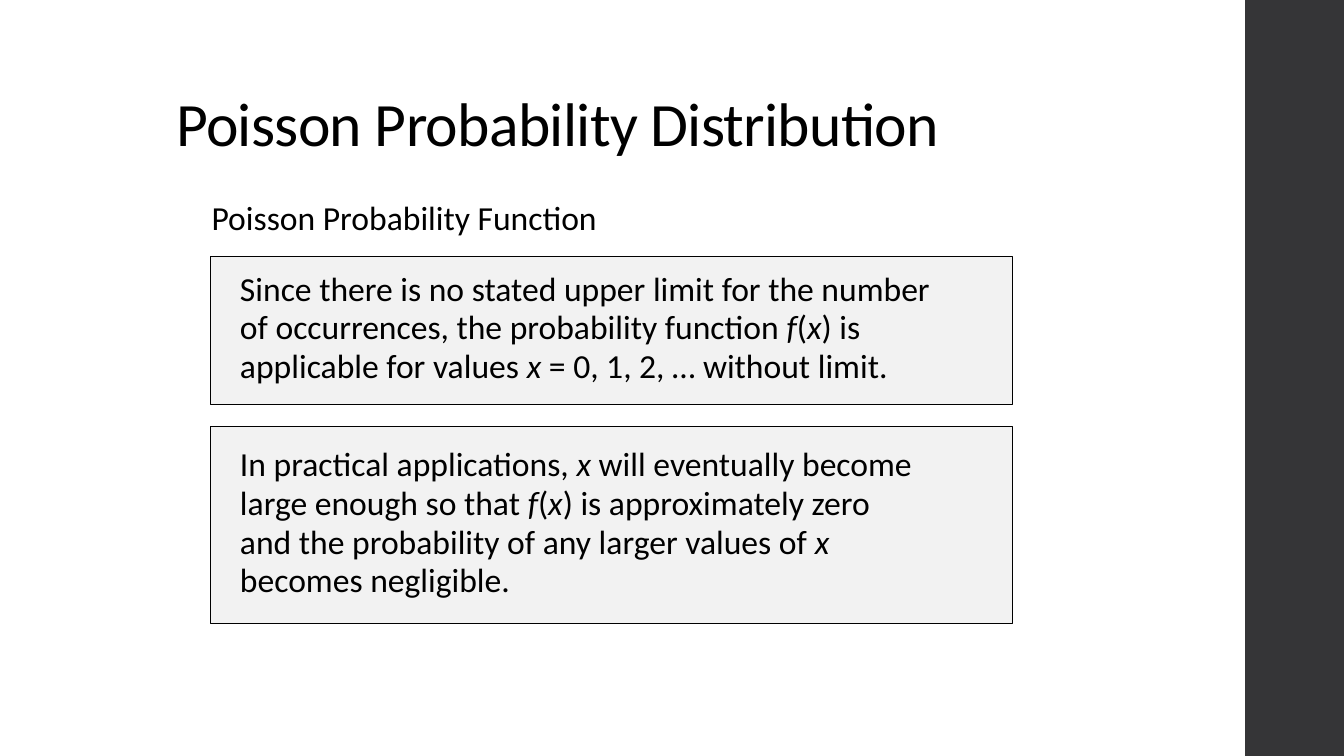
import pptx
import pptx.util
import pptx.dml.color
import pptx.enum.shapes
import pptx.enum.text

Inch = pptx.util.Inches
Pt = pptx.util.Pt
Anchor = pptx.enum.text.MSO_ANCHOR
WIDE, HIGH = 13.33, 7.5


def tint(hue):
    return pptx.dml.color.RGBColor.from_string(hue)


def write(shape, text, size=24, hue="000000", anchor=Anchor.TOP,
          inset=0.1, lead=1.0, before=0, track=None):
    """Fill a shape with lines of text; *stars* mark italics."""
    frame = shape.text_frame
    frame.word_wrap = True
    frame.vertical_anchor = anchor
    frame.margin_left = Inch(inset)
    for row, line in enumerate(text.split("\n")):
        para = frame.add_paragraph() if row else frame.paragraphs[0]
        para.alignment = pptx.enum.text.PP_ALIGN.LEFT
        para.line_spacing = lead
        para.space_before = Pt(before)
        for part, words in enumerate(line.split("*")):
            if not words:
                continue
            run = para.add_run()
            run.text = words
            run.font.name = "Calibri"
            run.font.size = Pt(size)
            run.font.italic = part % 2 == 1
            run.font.color.rgb = tint(hue)
            if track is not None:
                run.font._element.set("spc", str(int(track * 100)))


deck = pptx.Presentation()
deck.slide_width, deck.slide_height = Inch(WIDE), Inch(HIGH)
slide = deck.slides.add_slide(deck.slide_layouts[6])
rect = pptx.enum.shapes.MSO_SHAPE.RECTANGLE

# Dark band down the right edge
edge = 12.35
band = slide.shapes.add_shape(rect, Inch(edge), 0, Inch(WIDE - edge), Inch(HIGH))
band.shadow.inherit = False
band.fill.solid()
band.fill.fore_color.rgb = tint("353537")
band.line.fill.background()

# Title and subtitle
title = slide.shapes.add_textbox(Inch(1.65), Inch(0.74), Inch(8.5), Inch(0.89))
write(title, "Poisson Probability Distribution", size=44,
      anchor=Anchor.BOTTOM, lead=0.9, track=-0.5)
head = slide.shapes.add_textbox(Inch(2), Inch(1.9), Inch(8.1), Inch(0.55))
write(head, "Poisson Probability Function")

# Two grey boxes, stacked with an equal left edge and width
notes = [
    (1.47, "Since there is no stated upper limit for the number\n"
           "of occurrences, the probability function *f*(*x*) is\n"
           "applicable for values *x* = 0, 1, 2, … without limit."),
    (1.96, "In practical applications, *x* will eventually become\n"
           "large enough so that *f*(*x*) is approximately zero\n"
           "and the probability of any larger values of *x*\n"
           "becomes negligible."),
]
top, gap = 2.54, 0.22
for tall, text in notes:
    box = slide.shapes.add_shape(rect, Inch(2.09), Inch(top), Inch(7.95), Inch(tall))
    box.shadow.inherit = False
    box.fill.solid()
    box.fill.fore_color.rgb = tint("F2F2F2")
    box.line.color.rgb = tint("000000")
    box.line.width = Pt(0.5)
    write(box, text, anchor=Anchor.MIDDLE, inset=0.29, lead=0.8, before=4.5)
    top += tall + gap

deck.save("out.pptx")
